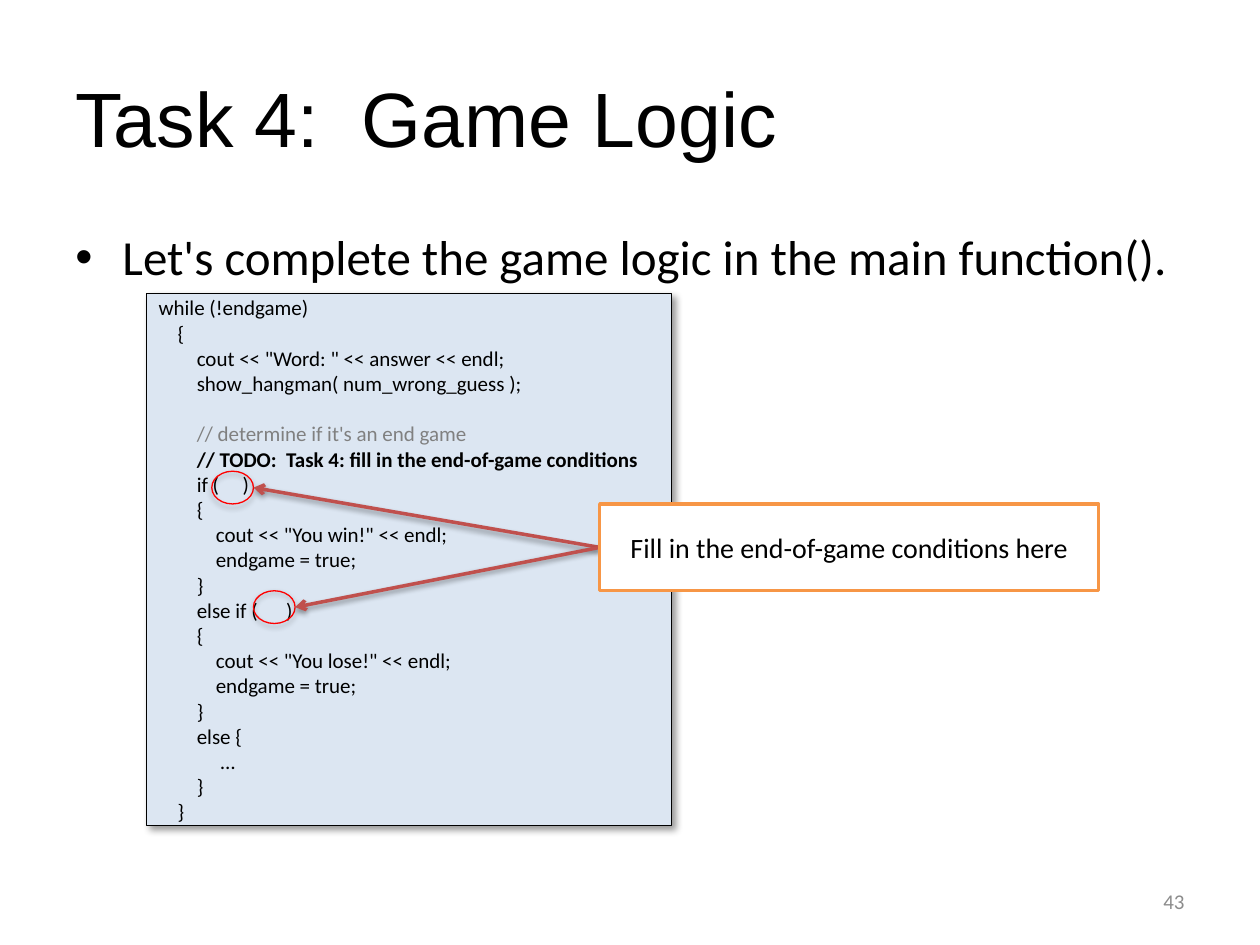
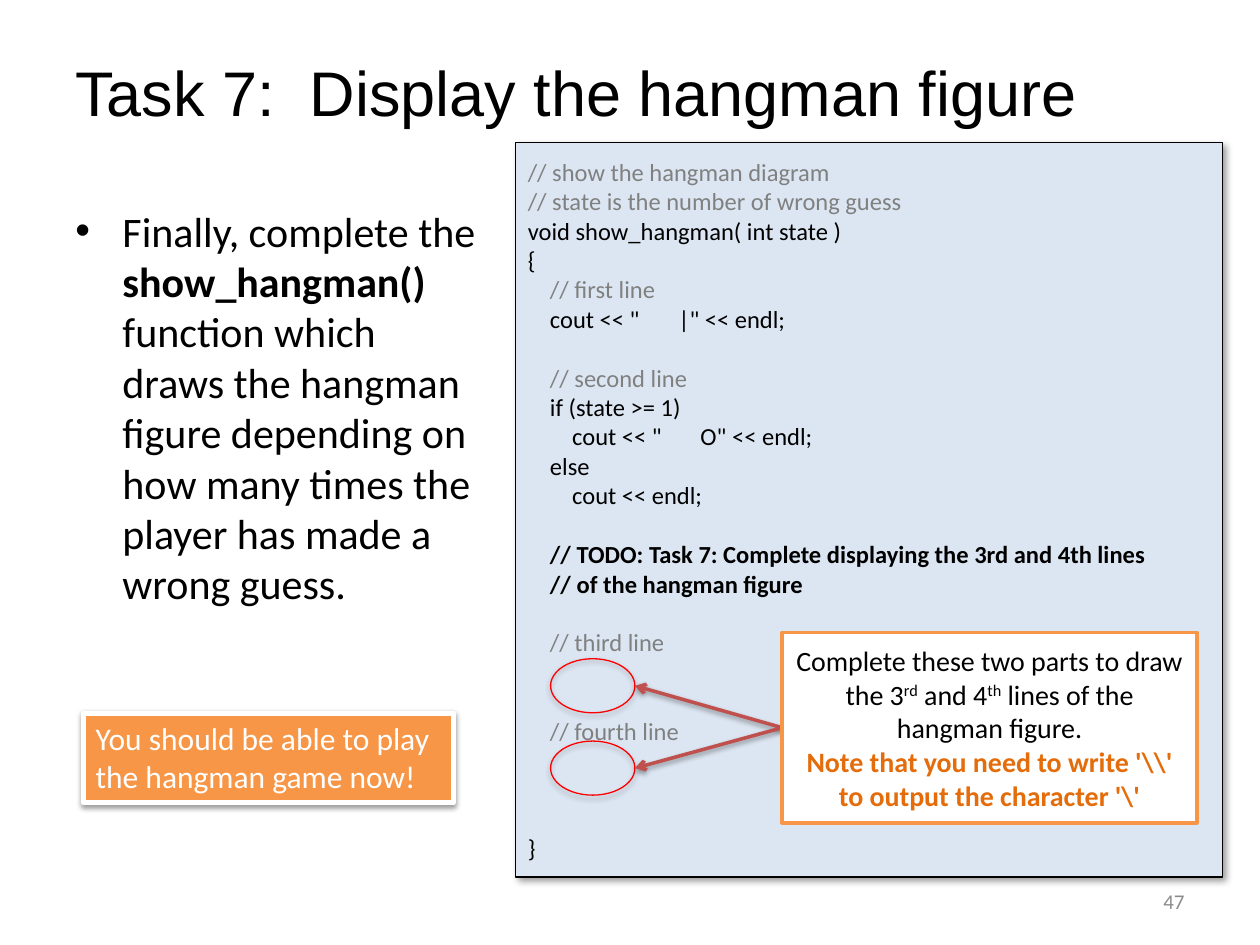
from lxml import etree
from pptx import Presentation
from pptx.dml.color import RGBColor
from pptx.enum.shapes import MSO_CONNECTOR, MSO_SHAPE
from pptx.enum.text import MSO_ANCHOR, MSO_AUTO_SIZE, PP_ALIGN
from pptx.oxml.ns import qn
from pptx.util import Cm, Pt

STRAIGHT = MSO_CONNECTOR.STRAIGHT
RECTANGLE, OVAL = MSO_SHAPE.RECTANGLE, MSO_SHAPE.OVAL
TOP, MIDDLE = MSO_ANCHOR.TOP, MSO_ANCHOR.MIDDLE
FIT_SHAPE = MSO_AUTO_SIZE.SHAPE_TO_FIT_TEXT
LEFT, CENTER, RIGHT = PP_ALIGN.LEFT, PP_ALIGN.CENTER, PP_ALIGN.RIGHT

COLORS = {
    "text": "000000",
    "white": "FFFFFF",
    "number": "8C8C8C",
    "comment": "808080",
    "panel": "DCE6F2",
    "ring": "FF0000",
    "arrow": "C0504D",
    "accent": "F79646",
    "note": "E46C0A",
}

PANEL_SHADOW = dict(opacity=40, blur=4, distance=3, angle=45)
RING_SHADOW = dict(opacity=35, blur=3.1, distance=1.8, angle=90)
SOFT_SHADOW = dict(opacity=38, blur=3.1, distance=1.6, angle=90)

SPACE_WIDTH = 0.008
LINE_HEIGHT = 1.2
BULLET_INDENT = Cm(0.95)

GAME_LOOP = """\
while (!endgame)
    {
        cout << "Word: " << answer << endl;
        show_hangman( num_wrong_guess );

        // determine if it's an end game
        // TODO:  Task 4: fill in the end-of-game conditions
        if (     )
        {
            cout << "You win!" << endl;
            endgame = true;
        }
        else if (      )
        {
            cout << "You lose!" << endl;
            endgame = true;
        }
        else {
             …
        }
    }"""

SHOW_HANGMAN = """\
// show the hangman diagram
// state is the number of wrong guess
void show_hangman( int state )
{
    // first line
    cout << "       |" << endl;

    // second line
    if (state >= 1)
        cout << "       O" << endl;
    else
        cout << endl;

    // TODO: Task 7: Complete displaying the 3rd and 4th lines
    // of the hangman figure

    // third line


    // fourth line



}"""


def color(name):
    return RGBColor.from_string(COLORS[name])


def add_text(paragraph, text, size=12, name="Calibri", fill="text", bold=False, raised=False):
    run = paragraph.add_run()
    run.text = text
    run.font.size = Pt(size)
    run.font.name = name
    run.font.bold = bold
    run.font.color.rgb = color(fill)
    if raised:
        run._r.get_or_add_rPr().set("baseline", "30000")


def next_paragraph(frame, align=LEFT):
    first = frame.paragraphs[0]
    paragraph = frame.add_paragraph() if first.runs else first
    paragraph.alignment = align
    return paragraph


def add_text_box(slide, box, anchor=TOP):
    frame = slide.shapes.add_textbox(*map(Cm, box)).text_frame
    frame.word_wrap = True
    frame.vertical_anchor = anchor
    return frame


def set_shadow(shape, opacity, blur, distance, angle):
    properties = shape._element.spPr
    for old in properties.findall(qn("a:effectLst")):
        properties.remove(old)
    effects = etree.SubElement(properties, qn("a:effectLst"))
    shadow = etree.SubElement(
        effects, qn("a:outerShdw"), blurRad=str(Pt(blur)), dist=str(Pt(distance)),
        dir=str(angle * 60000), algn="tl", rotWithShape="0")
    shade = etree.SubElement(shadow, qn("a:srgbClr"), val=COLORS["text"])
    etree.SubElement(shade, qn("a:alpha"), val=str(opacity * 1000))


def add_shape(slide, kind, box, fill, line, width, shadow=None):
    shape = slide.shapes.add_shape(kind, *map(Cm, box))
    shape.shadow.inherit = False
    if fill:
        shape.fill.solid()
        shape.fill.fore_color.rgb = color(fill)
    else:
        shape.fill.background()
    shape.line.color.rgb = color(line)
    shape.line.width = Pt(width)
    if shadow:
        set_shadow(shape, **shadow)
    shape.text_frame.vertical_anchor = MIDDLE
    return shape


def add_arrow(slide, start, end):
    arrow = slide.shapes.add_connector(STRAIGHT, *map(Cm, start + end))
    arrow.line.color.rgb = color("arrow")
    arrow.line.width = Pt(2)
    etree.SubElement(arrow.line._get_or_add_ln(), qn("a:tailEnd"), type="arrow")
    set_shadow(arrow, **SOFT_SHADOW)


def add_heading(slide, top, text, size):
    frame = add_text_box(slide, (1.27, top, 22.86, 3.18), MIDDLE)
    add_text(frame.paragraphs[0], text, size=size, name="Arial")


def add_bullet(slide, box, pieces, size):
    paragraph = add_text_box(slide, box).paragraphs[0]
    properties = paragraph._p.get_or_add_pPr()
    properties.set("marL", str(BULLET_INDENT))
    properties.set("indent", str(-BULLET_INDENT))
    etree.SubElement(properties, qn("a:buFont"), typeface="Arial")
    etree.SubElement(properties, qn("a:buChar"), char="•")
    for text, bold in pieces:
        add_text(paragraph, text, size=size, bold=bold)


def add_page_number(slide, number):
    frame = add_text_box(slide, (18.21, 17.65, 5.92, 1.02), MIDDLE)
    add_text(next_paragraph(frame, RIGHT), str(number), fill="number")


def add_code(slide, box, code, size):
    panel = add_shape(slide, RECTANGLE, box, "panel", "text", 0.75, PANEL_SHADOW)
    frame = panel.text_frame
    frame.word_wrap = True
    skipped, todo = 0, False
    for line in code.splitlines():
        text = line.lstrip()
        if not text:
            skipped += 1
            continue
        paragraph = next_paragraph(frame)
        indent = Cm((len(line) - len(text)) * size * SPACE_WIDTH)
        paragraph._p.get_or_add_pPr().set("marL", str(indent))
        paragraph.space_before = Pt(skipped * size * LINE_HEIGHT)
        comment = text.startswith("//")
        todo = comment and (text.startswith("// TODO") or (todo and not skipped))
        fill = "comment" if comment and not todo else "text"
        add_text(paragraph, text, size=size, fill=fill, bold=todo)
        skipped = 0


def add_callout(slide, box, paragraphs):
    shape = add_shape(slide, RECTANGLE, box, "accent" and "white", "accent", 2)
    shape.text_frame.word_wrap = True
    for pieces in paragraphs:
        paragraph = next_paragraph(shape.text_frame, CENTER)
        for text, style in pieces:
            add_text(paragraph, text, size=16, **style)


def add_exercise(slide, box, code, size, rings, ring_size, callout, paragraphs):
    left, top = box[:2]
    add_code(slide, box, code, size)
    x, y, width, height = callout
    callout_left, callout_top = left + x, top + y
    ring_width, ring_height = ring_size
    for ring_x, ring_y in rings:
        ring_left, ring_top = left + ring_x, top + ring_y
        add_shape(slide, OVAL, (ring_left, ring_top, ring_width, ring_height),
                  None, "ring", 0.75, RING_SHADOW)
        add_arrow(slide, (callout_left, callout_top + height / 2),
                  (ring_left + ring_width, ring_top + ring_height / 2))
    add_callout(slide, (callout_left, callout_top, width, height), paragraphs)


def add_banner(slide, box, lines):
    banner = add_shape(slide, RECTANGLE, box, "accent", "white", 3, SOFT_SHADOW)
    frame = banner.text_frame
    frame.word_wrap = False
    frame.auto_size = FIT_SHAPE
    frame.vertical_anchor = TOP
    for line in lines:
        add_text(next_paragraph(frame), line, size=18, fill="white")


def build_game_logic(slide):
    add_heading(slide, 0.76, "Task 4:  Game Logic", 44)
    add_bullet(slide, (1.27, 4.45, 22.86, 12.57),
               [("Let's complete the game logic in the main function().", False)], 28)
    add_page_number(slide, 43)
    add_exercise(
        slide, (2.95, 5.92, 10.59, 10.72), GAME_LOOP, 12,
        rings=[(1.32, 3.58), (2.16, 5.99)], ring_size=(0.84, 0.66),
        callout=(9.14, 4.24, 10.06, 1.75),
        paragraphs=[[("Fill in the end-of-game conditions here", {})]])


def build_hangman_figure(slide):
    add_heading(slide, 0.25, "Task 7:  Display the hangman figure", 36)
    add_bullet(slide, (1.27, 4.01, 8.66, 13), [
        ("Finally, complete the ", False),
        ("show_hangman() ", True),
        ("function which draws the hangman figure depending on how many times "
         "the player has made a wrong guess.", False),
    ], 24)
    add_page_number(slide, 47)
    raised = dict(raised=True)
    add_exercise(
        slide, (10.39, 2.87, 14.25, 14.81), SHOW_HANGMAN, 14,
        rings=[(0.71, 10.41), (0.71, 12.07)], ring_size=(1.7, 1.09),
        callout=(5.38, 9.88, 8.36, 3.84),
        paragraphs=[
            [("Complete these two parts to draw the 3", {}), ("rd", raised),
             (" and 4", {}), ("th", raised), (" lines of the hangman figure.", {})],
            [(r"Note that you need to write '\\' to output the character '\'",
              dict(fill="note", bold=True))],
        ])
    add_banner(slide, (1.68, 14.38, 7.47, 1.8),
               ["You should be able to play", "the hangman game now!"])


def main():
    presentation = Presentation()
    presentation.slide_width, presentation.slide_height = Cm(25.4), Cm(19.05)
    blank = presentation.slide_layouts[6]
    for build in (build_game_logic, build_hangman_figure):
        build(presentation.slides.add_slide(blank))
    presentation.save("out.pptx")


if __name__ == "__main__":
    main()
